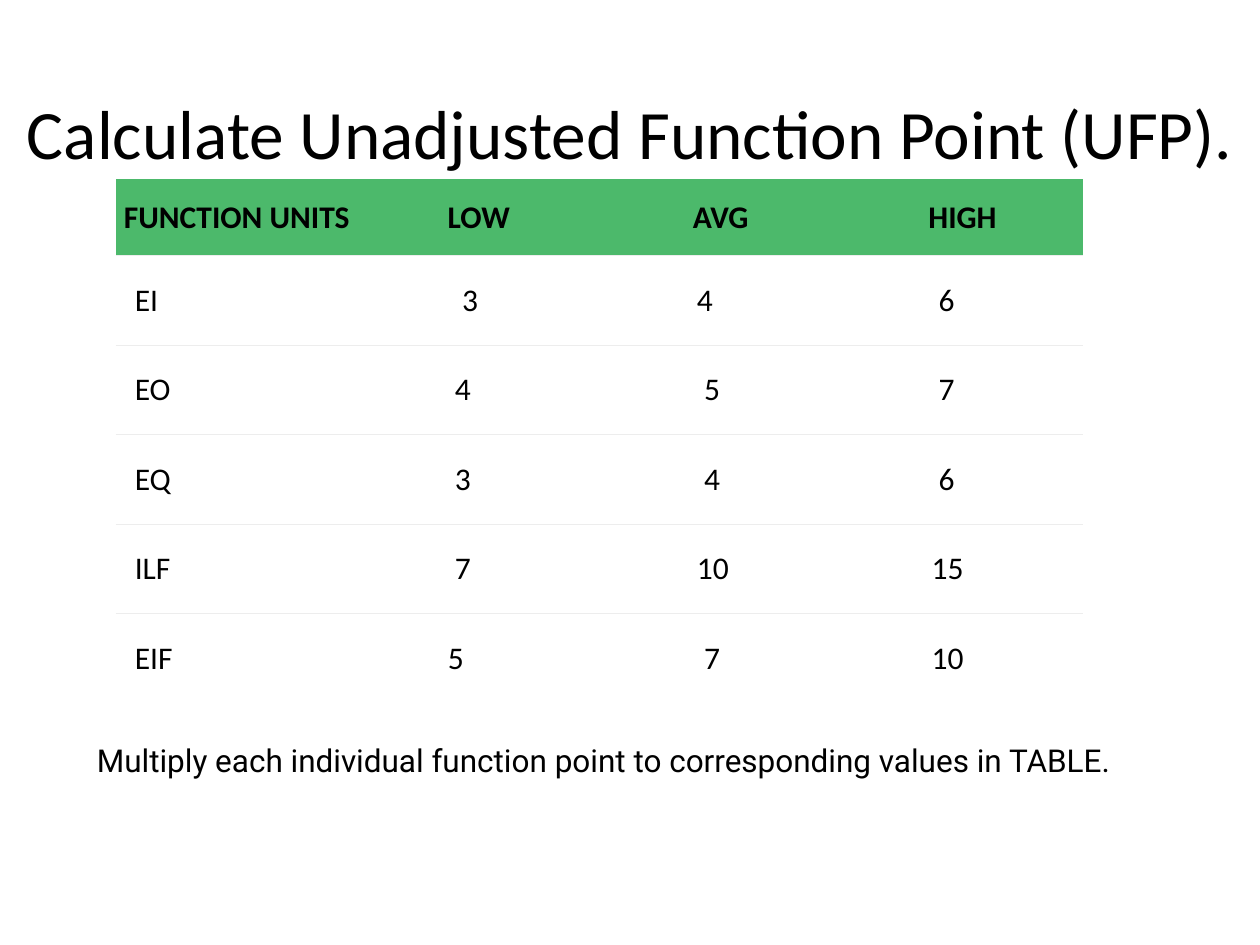
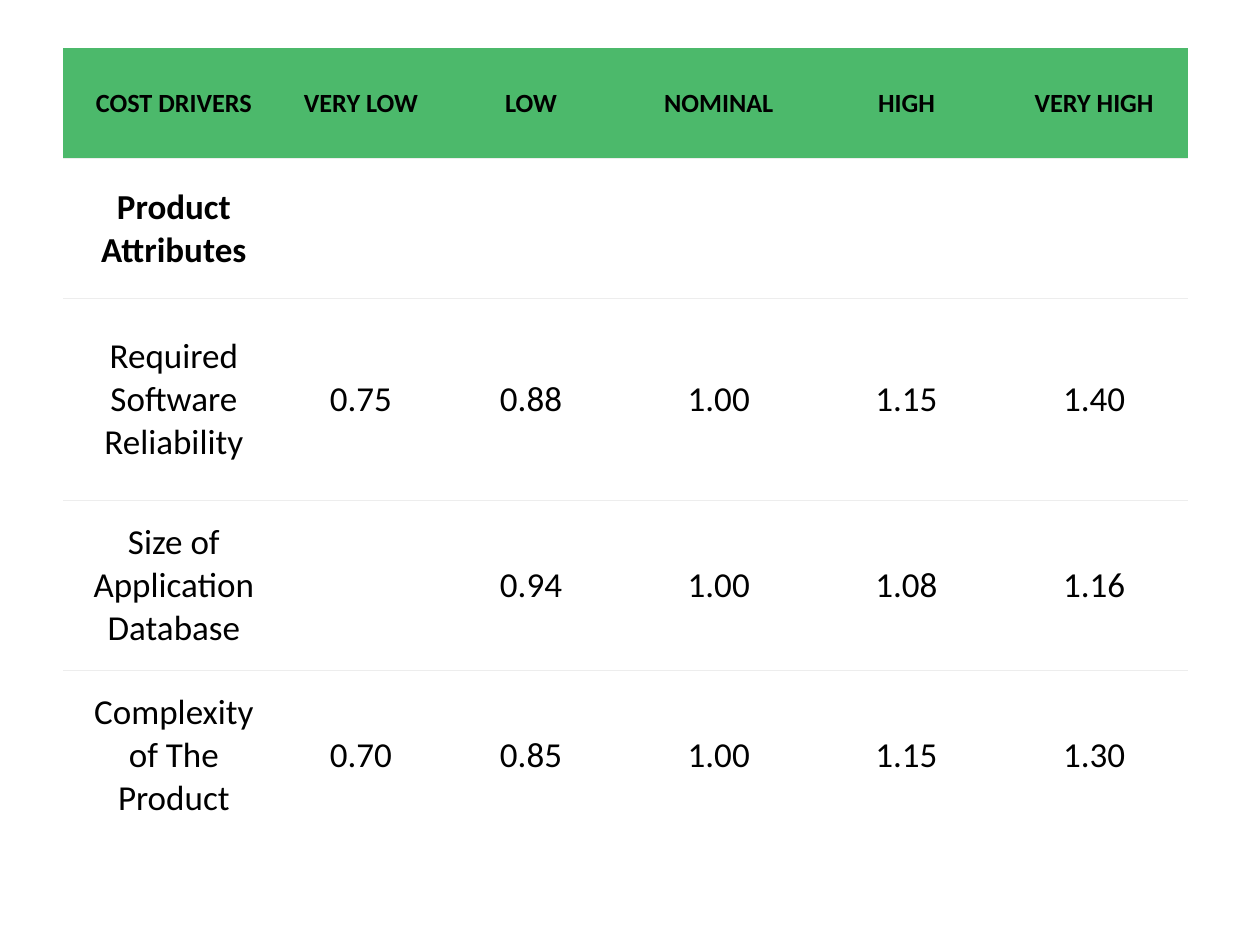
from dataclasses import dataclass

import lxml.etree
import pptx
import pptx.dml.color
import pptx.enum.text
import pptx.oxml.ns
import pptx.util

Inches = pptx.util.Inches
Pt = pptx.util.Pt
Align = pptx.enum.text.PP_ALIGN
Anchor = pptx.enum.text.MSO_ANCHOR


@dataclass(frozen=True)
class Theme:
    ink: str = "000000"
    paper: str = "FFFFFF"
    header: str = "4CB96B"
    rule: str = "EDEDED"
    rule_width: float = 0.75
    font: str = "Calibri"
    note_font: str = "Roboto"
    title_size: float = 39.6
    text_size: float = 18
    cost_header_size: float = 15
    cost_size: float = 20
    space_width: float = 0.0565


class DeckBuilder:
    def __init__(self, theme):
        self.theme = theme
        self.deck = pptx.Presentation()
        self.deck.slide_width = Inches(10)
        self.deck.slide_height = Inches(7.5)
        self.page = None

    def add_page(self):
        self.page = self.deck.slides.add_slide(self.deck.slide_layouts[6])

    def style(self, paragraph, size, font, bold=False, align=Align.LEFT):
        paragraph.alignment = align
        for span in paragraph.runs:
            span.font.name = font
            span.font.size = Pt(size)
            span.font.bold = bold
            span.font.color.rgb = pptx.dml.color.RGBColor.from_string(self.theme.ink)

    def add_text(self, text, left, top, width, height):
        box = self.page.shapes.add_textbox(*map(Inches, (left, top, width, height)))
        box.text_frame.word_wrap = True
        box.text_frame.text = text
        return box.text_frame

    def add_title(self, text):
        frame = self.add_text(text, 0, 0.08, 10, 1.3)
        frame.vertical_anchor = Anchor.BOTTOM
        frame.margin_bottom = 0
        self.style(frame.paragraphs[0], self.theme.title_size, self.theme.font, align=Align.CENTER)

    def add_note(self, text, left, top, width, height):
        frame = self.add_text(text, left, top, width, height)
        self.style(frame.paragraphs[0], self.theme.text_size, self.theme.note_font)

    def set_borders(self, cell, visible):
        properties = cell._tc.get_or_add_tcPr()
        qn = pptx.oxml.ns.qn
        for position, side in enumerate("LRTB"):
            line = lxml.etree.Element(qn(f"a:ln{side}"), w=str(Pt(self.theme.rule_width)))
            if side in visible:
                fill = lxml.etree.SubElement(line, qn("a:solidFill"))
                lxml.etree.SubElement(fill, qn("a:srgbClr"), val=self.theme.rule)
            else:
                lxml.etree.SubElement(line, qn("a:noFill"))
            properties.insert(position, line)

    def set_cell(self, cell, text, size, bold, align, fill, margins, borders):
        cell.text = text
        cell.vertical_anchor = Anchor.MIDDLE
        cell.margin_left = cell.margin_right = Inches(margins[0])
        cell.margin_top = cell.margin_bottom = Inches(margins[1])
        cell.fill.solid()
        cell.fill.fore_color.rgb = pptx.dml.color.RGBColor.from_string(fill)
        self.set_borders(cell, borders)
        self.style(cell.text_frame.paragraphs[0], size, self.theme.font, bold, align)

    def add_table(self, rows, left, top, widths, heights, header_size, body_size,
                  header_margin, body_margins, body_align, bold_rows=(0,)):
        frame = self.page.shapes.add_table(
            len(rows), len(widths), Inches(left), Inches(top),
            Inches(sum(widths)), Inches(sum(heights)))
        table = frame.table
        table.horz_banding = False
        for column, width in zip(table.columns, widths):
            column.width = Inches(width)
        for row, height in zip(table.rows, heights):
            row.height = Inches(height)
        last = len(rows) - 1
        for r, row in enumerate(rows):
            borders = ("T" if r > 0 else "") + ("B" if r < last else "")
            for c, text in enumerate(row):
                is_header = r == 0
                self.set_cell(
                    table.cell(r, c), text,
                    header_size if is_header else body_size,
                    r in bold_rows,
                    Align.CENTER if is_header else body_align,
                    self.theme.header if is_header else self.theme.paper,
                    (header_margin, header_margin) if is_header else body_margins,
                    borders)
        return table


FUNCTION_WEIGHTS = [
    ["FUNCTION UNITS", "LOW", "AVG", "HIGH"],
    ["EI", "3", "4", "6"],
    ["EO", "4", "5", "7"],
    ["EQ", "3", "4", "6"],
    ["ILF", "7", "10", "15"],
    ["EIF", "5", "7", "10"],
]
WEIGHT_INDENTS = [(12, 11, 11), (11, 12, 11), (11, 12, 11), (11, 11, 10), (10, 12, 10)]

COST_DRIVERS = [
    ["COST DRIVERS", "VERY LOW", "LOW", "NOMINAL", "HIGH", "VERY HIGH"],
    ["Product Attributes", "", "", "", "", ""],
    ["Required Software Reliability", "0.75", "0.88", "1.00", "1.15", "1.40"],
    ["Size of Application Database", "", "0.94", "1.00", "1.08", "1.16"],
    ["Complexity of The Product", "0.70", "0.85", "1.00", "1.15", "1.30"],
]


def add_function_points(builder):
    theme = builder.theme
    builder.add_page()
    builder.add_title("Calculate Unadjusted Function Point (UFP).")
    margin = 0.15
    table = builder.add_table(
        FUNCTION_WEIGHTS, 0.92, 1.42, [1.92] * 4, [0.61] + [0.71] * 5,
        theme.text_size, theme.text_size, 0.04, (margin, 0.07), Align.LEFT)
    for r, indents in enumerate(WEIGHT_INDENTS, 1):
        for c, indent in enumerate(indents, 1):
            table.cell(r, c).margin_left = Inches(margin + indent * theme.space_width)
    builder.add_note(
        "Multiply each individual function point to corresponding values in TABLE.",
        0.67, 5.83, 8.34, 0.4)


def add_cost_drivers(builder):
    theme = builder.theme
    builder.add_page()
    builder.add_table(
        COST_DRIVERS, 0.5, 0.38, [1.76, 1.21] + [1.49] * 4, [0.88, 1.11, 1.6, 1.35, 1.35],
        theme.cost_header_size, theme.cost_size, 0.07, (0.12, 0.06), Align.CENTER,
        bold_rows=(0, 1))


def main():
    builder = DeckBuilder(Theme())
    add_function_points(builder)
    add_cost_drivers(builder)
    builder.deck.save("out.pptx")


if __name__ == "__main__":
    main()
